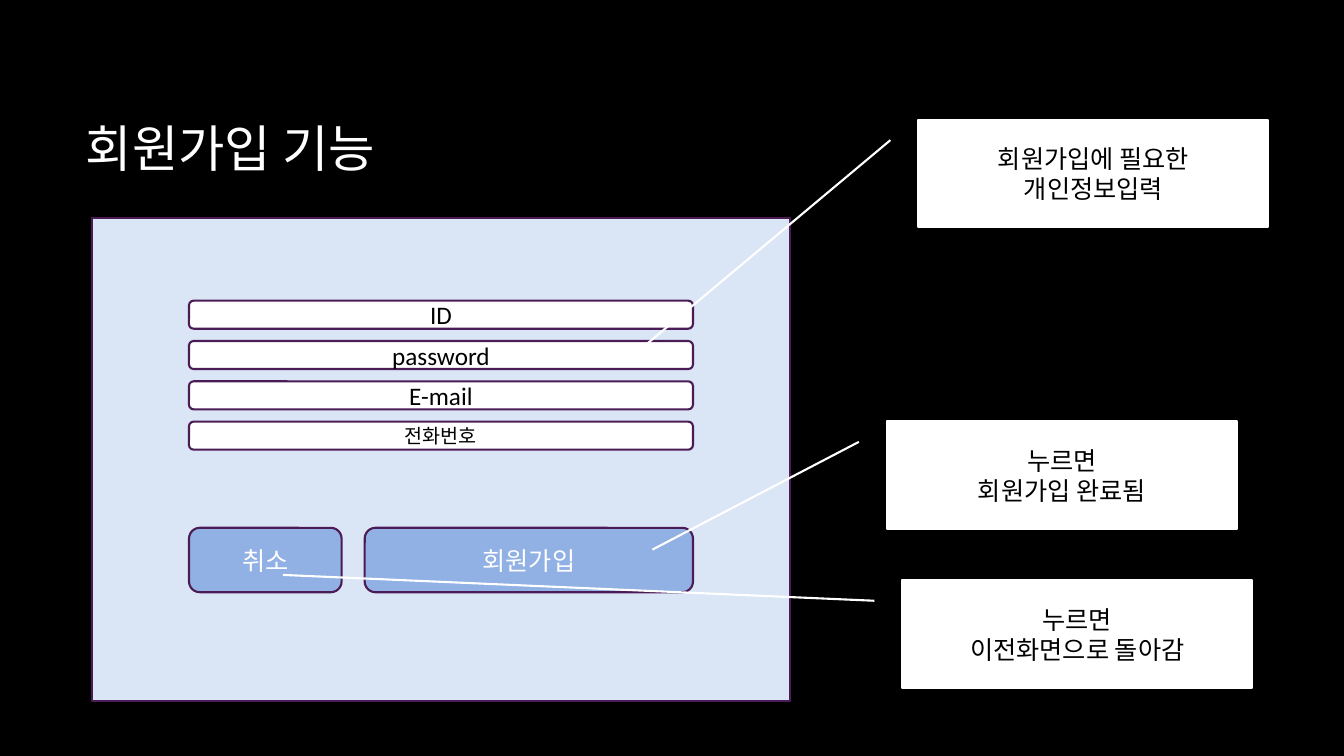
from dataclasses import dataclass

from pptx import Presentation
from pptx.dml.color import RGBColor
from pptx.enum.shapes import MSO_SHAPE
from pptx.enum.text import MSO_ANCHOR, MSO_AUTO_SIZE, PP_ALIGN
from pptx.util import Pt


@dataclass(frozen=True)
class Theme:
    font: str = "Calibri"
    background: str = "000000"
    panel: str = "DAE5F6"
    button: str = "91B0E3"
    outline: str = "4B1B55"
    light: str = "FFFFFF"
    dark: str = "000000"
    title_size: float = 36
    body_size: float = 18
    small_size: float = 14
    line_width: float = 1.5


class SignupSlide:
    def __init__(self, presentation, theme):
        self.theme = theme
        self.slide = presentation.slides.add_slide(presentation.slide_layouts[5])
        background = self.slide.background.fill
        background.solid()
        background.fore_color.rgb = RGBColor.from_string(theme.background)

    def set_text(self, shape, text, size, color, align):
        frame = shape.text_frame
        frame.text = text
        frame.word_wrap = True
        frame.auto_size = MSO_AUTO_SIZE.NONE
        frame.vertical_anchor = MSO_ANCHOR.MIDDLE
        for paragraph in frame.paragraphs:
            paragraph.alignment = align
            paragraph.font.name = self.theme.font
            paragraph.font.size = Pt(size)
            paragraph.font.color.rgb = RGBColor.from_string(color)

    def title(self, text, left, top, width, height):
        heading = self.slide.shapes.title
        heading.left, heading.top = Pt(left), Pt(top)
        heading.width, heading.height = Pt(width), Pt(height)
        self.set_text(heading, text, self.theme.title_size, self.theme.light, PP_ALIGN.LEFT)

    def box(self, kind, bounds, fill, outline, text="", color=None, size=None):
        shape = self.slide.shapes.add_shape(kind, *map(Pt, bounds))
        shape.shadow.inherit = False
        shape.fill.solid()
        shape.fill.fore_color.rgb = RGBColor.from_string(fill)
        shape.line.color.rgb = RGBColor.from_string(outline)
        shape.line.width = Pt(self.theme.line_width)
        if text:
            self.set_text(shape, text, size or self.theme.body_size, color, PP_ALIGN.CENTER)
        return shape

    def panel(self, *bounds):
        self.box(MSO_SHAPE.RECTANGLE, bounds, self.theme.panel, self.theme.outline)

    def field(self, label, size, *bounds):
        self.box(MSO_SHAPE.ROUNDED_RECTANGLE, bounds, self.theme.light,
                 self.theme.outline, label, self.theme.dark, size)

    def button(self, label, *bounds):
        self.box(MSO_SHAPE.ROUNDED_RECTANGLE, bounds, self.theme.button,
                 self.theme.outline, label, self.theme.light)

    def callout(self, text, left, top, target_y, target_x):
        """Add a note whose leader ends at a target given in fractions of the note's size."""
        note = self.box(MSO_SHAPE.LINE_CALLOUT_1, (left, top, 250, 77), self.theme.light,
                        self.theme.light, text, self.theme.dark)
        for index, value in enumerate((0.19, -0.08, target_y, target_x)):
            note.adjustments[index] = value


def main():
    presentation = Presentation()
    presentation.slide_width, presentation.slide_height = Pt(960), Pt(540)
    theme = Theme()
    signup = SignupSlide(presentation, theme)

    signup.title("회원가입 기능", 54, 48, 798, 114.5)
    signup.panel(66, 155.5, 498.5, 345.5)

    form_left, form_width = 135, 360
    fields = (
        ("ID", theme.body_size),
        ("password", theme.body_size),
        ("E-mail", theme.body_size),
        ("전화번호", theme.small_size),
    )
    for row, (label, size) in enumerate(fields):
        signup.field(label, size, form_left, 214.8 + 28.8 * row, form_width, 20)

    button_top, button_height = 377, 46
    cancel_width, button_gap = 109, 16.5
    join_offset = cancel_width + button_gap
    signup.button("취소", form_left, button_top, cancel_width, button_height)
    signup.button("회원가입", form_left + join_offset, button_top,
                  form_width - join_offset, button_height)

    signup.callout("회원가입에 필요한\n개인정보입력", 656, 85.5, 2.12, -0.79)
    signup.callout("누르면\n이전화면으로 돌아감", 644.5, 414.5, -0.05, -1.77)
    signup.callout("누르면\n회원가입 완료됨", 633.5, 301, 1.19, -0.67)

    presentation.save("out.pptx")


if __name__ == "__main__":
    main()
